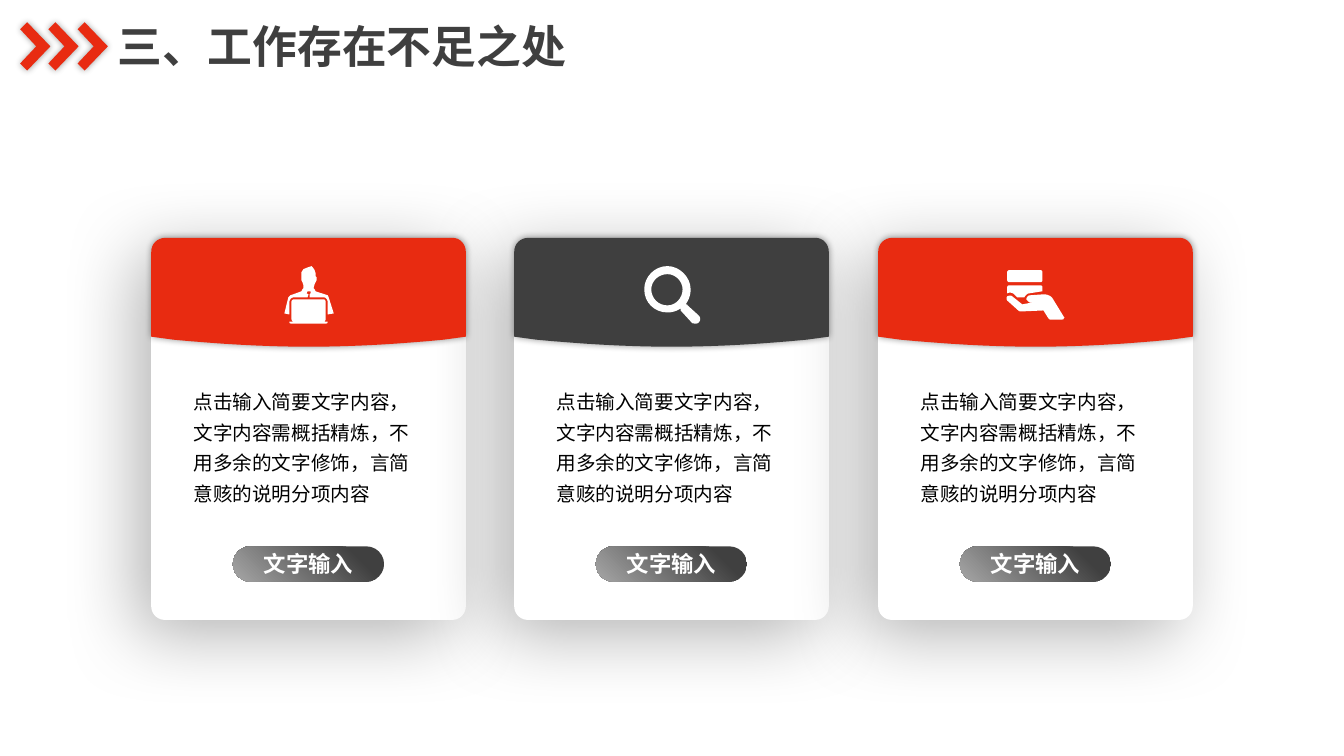
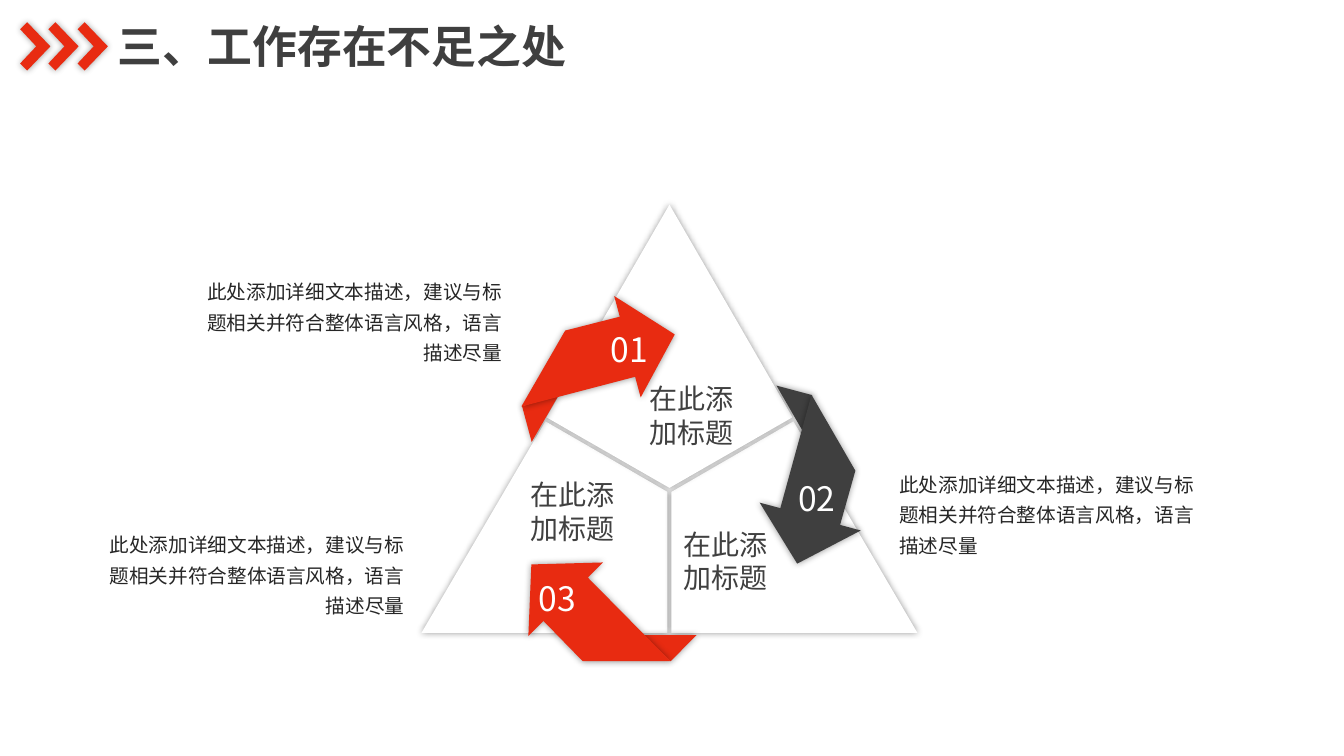
from dataclasses import dataclass
from math import cos, radians, sin
from typing import NamedTuple

from lxml import etree
from pptx import Presentation
from pptx import util as u
from pptx.dml import color
from pptx.enum import shapes, text
from pptx.oxml import ns

PX = 9144


@dataclass(frozen=True)
class Theme:
    """Colours, type sizes and shadows shared by the slides."""

    font: str = "Noto Sans CJK SC"
    red: str = "E82B11"
    dark: str = "3F3F3F"
    label: str = "404040"
    body: str = "262626"
    black: str = "000000"
    white: str = "FFFFFF"
    silver: str = "A6A6A6"
    title_size: int = 32
    number_size: int = 24
    heading_size: int = 20
    badge_size: int = 16
    body_size: int = 14
    loose: float = 1.3
    soft_shadow: tuple = (40, 5, 0, 0)
    card_shadow: tuple = (30, 55, 15, 135)


THEME = Theme()
TITLE = "三、工作存在不足之处"
CARD_TEXT = "点击输入简要文字内容，文字内容需概括精炼，不用多余的文字修饰，言简意赅的说明分项内容"
BADGE_TEXT = "文字输入"
STEP_TITLE = "在此添加标题"
STEP_TEXT = "此处添加详细文本描述，建议与标题相关并符合整体语言风格，语言描述尽量"

CHEVRON = [[(0, 7), (7, 0), (30, 24), (7, 48), (0, 41), (16, 24)]]
CARD_HEADER = [[
    (14, 0), (299, 0), (306, 0, 312, 6, 312, 14), (312, 98), (290, 101),
    (248, 105, 203, 108, 156, 108), (110, 108, 65, 105, 22, 101),
    (0, 98), (0, 14), (0, 6, 6, 0, 14, 0),
]]
WORKER = [
    [(14, 33), (43, 33), (44, 33, 45, 34, 45, 36), (45, 52),
     (45, 54, 44, 55, 43, 55), (47, 55), (47, 57, 46, 57, 45, 57), (11, 57),
     (10, 57, 9, 57, 9, 55), (14, 55), (12, 55, 11, 54, 11, 52), (11, 36),
     (11, 34, 12, 33, 14, 33)],
    [(31, 0), (32, 1), (34, 4), (35, 7), (35, 10), (36, 11), (36, 14),
     (34, 18), (33, 22), (34, 23), (35, 25), (47, 29), (48, 31), (53, 47),
     (47, 48), (47, 36), (47, 33, 45, 31, 43, 31), (29, 31), (29, 28),
     (30, 27), (30, 25), (27, 25), (26, 27), (28, 28), (27, 31), (14, 31),
     (11, 31, 9, 33, 9, 36), (9, 48), (4, 47), (8, 31), (10, 29), (21, 25),
     (22, 23), (23, 22), (23, 19), (22, 16), (21, 14), (21, 6), (23, 3), (28, 1)],
]
MAGNIFIER = [
    [(55, 49), (44, 39), (44, 38, 43, 38, 42, 38), (45, 34, 47, 29, 47, 23),
     (47, 11, 36, 0, 24, 0), (11, 0, 1, 11, 1, 23), (1, 36, 11, 46, 24, 46),
     (28, 46, 33, 45, 37, 42), (37, 43, 37, 45, 38, 45), (48, 56),
     (49, 57, 50, 57, 52, 57), (53, 57, 54, 57, 55, 56), (57, 54, 57, 51, 55, 49)],
    [(24, 39), (15, 39, 8, 32, 8, 23), (8, 15, 15, 8, 24, 8),
     (32, 8, 39, 15, 39, 23), (39, 32, 32, 39, 24, 39)],
]
HAND = [
    [(36, 28), (39, 28, 43, 29, 45, 32), (56, 50), (57, 51, 57, 51, 56, 52),
     (56, 53, 55, 53, 54, 53), (43, 53), (42, 53, 42, 53, 41, 52), (36, 44),
     (14, 45), (13, 45, 12, 45, 11, 44), (1, 35), (-1, 34, -1, 31, 0, 30),
     (2, 29, 4, 29, 5, 30), (15, 38), (35, 34), (23, 36),
     (21, 36, 20, 34, 19, 33), (19, 31, 21, 29, 22, 29), (36, 28)],
    [(2, 19), (33, 19), (34, 19, 35, 20, 35, 21), (35, 25), (22, 27),
     (20, 27, 18, 29, 17, 31), (10, 31), (7, 28), (5, 26, 2, 26, 0, 27),
     (0, 21), (0, 20, 1, 19, 2, 19)],
    [(2, 4), (33, 4), (34, 4, 35, 5, 35, 6), (35, 14), (35, 15, 34, 16, 33, 16),
     (2, 16), (1, 16, 0, 15, 0, 14), (0, 6), (0, 5, 1, 4, 2, 4)],
]
ARROW = [(-66, 71), (-81, 86), (1, 169), (-86, 169), (-125, 129), (-140, 144), (-137, 73)]
TOP_PANEL = [(124, 211), (246, 281), (368, 211), (246, 0)]
LEFT_PANEL = [(123, 215), (244, 285), (244, 425), (0, 425)]


class Box(NamedTuple):
    """A rectangle in px."""

    left: int
    top: int
    width: int
    height: int

    def inner(self, left, top, width, height):
        """Return a box placed relative to this one."""
        return Box(self.left + left, self.top + top, width, height)

    def emu(self):
        """Return the four lengths in EMU."""
        return [u.Emu(round(length * PX)) for length in self]


class Step(NamedTuple):
    """One step of the cycle, with offsets from the triangle and the region."""

    number: str
    colour: str
    turn: int
    centre: tuple
    number_at: tuple
    title_box: tuple
    text_box: tuple
    align: text.PP_ALIGN


STEPS = [
    Step("01", THEME.red, 120, (246, 284), (167, 118), (216, 171, 110, 77),
         (97, 63, 331, 102), text.PP_ALIGN.RIGHT),
    Step("02", THEME.dark, 240, (241, 274), (353, 266), (250, 315, 117, 77),
         (802, 254, 323, 102), text.PP_ALIGN.LEFT),
    Step("03", THEME.red, 0, (246, 284), (96, 365), (98, 266, 110, 77),
         (0, 314, 331, 102), text.PP_ALIGN.RIGHT),
]


def apply(target, values):
    """Set each named attribute on the target."""
    for name, value in values.items():
        setattr(target, name, value)


def rgb(value):
    """Return a colour object for a hex string."""
    return color.RGBColor.from_string(value)


def write(shape, content, size, colour, bold=False, wrap=True,
          anchor=text.MSO_ANCHOR.TOP, **paragraph_format):
    """Fill a shape with one formatted paragraph."""
    frame = shape.text_frame
    apply(frame, {"word_wrap": wrap, "vertical_anchor": anchor,
                  "auto_size": text.MSO_AUTO_SIZE.NONE})
    paragraph = frame.paragraphs[0]
    apply(paragraph, paragraph_format)
    run = paragraph.add_run()
    run.text = content
    apply(run.font, {"name": THEME.font, "size": u.Pt(size), "bold": bold})
    run.font.color.rgb = rgb(colour)
    latin = run.font._element.find(ns.qn("a:latin"))
    east_asian = etree.Element(ns.qn("a:ea"), typeface=THEME.font)
    latin.addnext(east_asian)


def add_text(slide, box, content, size, colour, **values):
    """Add a text box with one paragraph."""
    write(slide.shapes.add_textbox(*box.emu()), content, size, colour, **values)


def style(shape, colour, shadow=None):
    """Give a shape a plain fill, no outline and an optional shadow."""
    shape.fill.solid()
    shape.fill.fore_color.rgb = rgb(colour)
    shape.line.fill.background()
    shape.shadow.inherit = False
    if shadow:
        alpha, blur, distance, angle = shadow
        effects = shape._element.spPr.find(ns.qn("a:effectLst"))
        outer = etree.SubElement(
            effects, ns.qn("a:outerShdw"), blurRad=str(u.Pt(blur)),
            dist=str(u.Pt(distance)), dir=str(angle * 60000), algn="ctr", rotWithShape="0")
        tint = etree.SubElement(outer, ns.qn("a:srgbClr"), val=THEME.black)
        etree.SubElement(tint, ns.qn("a:alpha"), val=str(alpha * 1000))
    return shape


def add_preset(slide, kind, box, colour, adjustment, shadow=None):
    """Add a styled preset shape with one adjustment."""
    shape = slide.shapes.add_shape(kind, *box.emu())
    shape.adjustments[0] = adjustment
    return style(shape, colour, shadow)


def flatten(contour, pieces=8):
    """Turn lines and cubic curves into plain points."""
    points = []
    for part in contour:
        if len(part) == 2:
            points.append(part)
            continue
        knots = [points[-1], part[:2], part[2:4], part[4:]]
        for piece in range(1, pieces + 1):
            t = piece / pieces
            weights = ((1 - t) ** 3, 3 * t * (1 - t) ** 2, 3 * t * t * (1 - t), t ** 3)
            points.append(tuple(
                sum(w * knot[axis] for w, knot in zip(weights, knots)) for axis in (0, 1)))
    return points


def add_outline(slide, left, top, contours, colour, shadow=None):
    """Add a freeform of one or more closed contours."""
    builder = None
    for contour in contours:
        points = [((left + x) * PX, (top + y) * PX) for x, y in flatten(contour)]
        if builder is None:
            builder = slide.shapes.build_freeform(*points[0], scale=1.0)
        else:
            builder.move_to(*points[0])
        builder.add_line_segments(points[1:], close=True)
    return style(builder.convert_to_shape(), colour, shadow)


def add_titled_slide(presentation, box):
    """Add a title-only slide with its title and chevrons."""
    slide = presentation.slides.add_slide(presentation.slide_layouts[5])
    title = slide.shapes.title
    apply(title, dict(zip(("left", "top", "width", "height"), box.inner(87, -8, 469, 64).emu())))
    write(title, TITLE, THEME.title_size, THEME.dark, bold=True, wrap=False,
          alignment=text.PP_ALIGN.LEFT)
    for index in range(3):
        add_outline(slide, box.left + round(index * 28.5), box.top, CHEVRON,
                    THEME.red, THEME.soft_shadow)
    return slide


def add_card(slide, box, colour, icon):
    """Add the header, icon, text and badge of a card."""
    add_outline(slide, box.left, box.top, CARD_HEADER, colour, THEME.soft_shadow)
    add_outline(slide, box.left + 128, box.top + 28, icon, THEME.white)
    add_text(slide, box.inner(32, 139, 248, 133), CARD_TEXT, THEME.body_size,
             THEME.black, line_spacing=THEME.loose)
    badge = add_preset(slide, shapes.MSO_SHAPE.ROUNDED_RECTANGLE,
                       box.inner(81, 306, 150, 35), THEME.label, 0.5)
    badge.fill.gradient()
    badge.fill.gradient_angle = 225
    stops = ((0.19, THEME.label), (1, THEME.silver))
    for stop, (position, tone) in zip(badge.fill.gradient_stops, stops):
        stop.position = position
        stop.color.rgb = rgb(tone)
    write(badge, BADGE_TEXT, THEME.badge_size, THEME.white, bold=True,
          anchor=text.MSO_ANCHOR.MIDDLE, alignment=text.PP_ALIGN.CENTER)


def add_cards(slide, box):
    """Add the row of three cards."""
    boxes = [box.inner(round(index * 360.5), 0, 312, box.height) for index in range(3)]
    for card in boxes:
        add_preset(slide, shapes.MSO_SHAPE.ROUNDED_RECTANGLE, card, THEME.white,
                   0.043, THEME.card_shadow)
    colours = (THEME.red, THEME.dark, THEME.red)
    for card, colour, icon in zip(boxes, colours, (WORKER, MAGNIFIER, HAND)):
        add_card(slide, card, colour, icon)


def add_ribbon(slide, left, top, turn, colour):
    """Add a folded arrow turned about a centre."""
    cosine, sine = cos(radians(turn)), sin(radians(turn))

    def spin(x, y):
        """Turn a point clockwise about the centre."""
        return x * cosine - y * sine, x * sine + y * cosine

    x, y = spin(0, 156)
    fold = Box(left + x - 26, top + y - 13, 53, 26)
    triangle = add_preset(slide, shapes.MSO_SHAPE.ISOSCELES_TRIANGLE, fold, colour,
                          0.49, THEME.soft_shadow)
    triangle.rotation = (turn + 180) % 360
    add_outline(slide, left, top, [[spin(*point) for point in ARROW]], colour,
                THEME.soft_shadow)


def add_cycle(slide, box):
    """Add the divided triangle with its three steps."""
    triangle = box.inner(338, 0, 492, 425)
    right_panel = [(triangle.width - x, y) for x, y in LEFT_PANEL]
    for panel in (LEFT_PANEL, right_panel, TOP_PANEL):
        add_outline(slide, triangle.left, triangle.top, [panel], THEME.white, THEME.soft_shadow)
    for step in STEPS:
        x, y = step.centre
        add_ribbon(slide, triangle.left + x, triangle.top + y, step.turn, step.colour)
        add_text(slide, triangle.inner(*step.number_at, 78, 50), step.number,
                 THEME.number_size, THEME.white, alignment=text.PP_ALIGN.CENTER)
        add_text(slide, triangle.inner(*step.title_box), STEP_TITLE,
                 THEME.heading_size, THEME.label)
        add_text(slide, box.inner(*step.text_box), STEP_TEXT, THEME.body_size,
                 THEME.body, alignment=step.align, line_spacing=THEME.loose)


def main():
    """Build and save the presentation."""
    presentation = Presentation()
    apply(presentation, {"slide_width": u.Emu(1333 * PX), "slide_height": u.Emu(750 * PX)})
    heading = Box(20, 22, 556, 48)
    add_cards(add_titled_slide(presentation, heading), Box(150, 236, 1033, 379))
    add_cycle(add_titled_slide(presentation, heading), Box(80, 203, 1125, 453))
    presentation.save("out.pptx")


if __name__ == "__main__":
    main()
